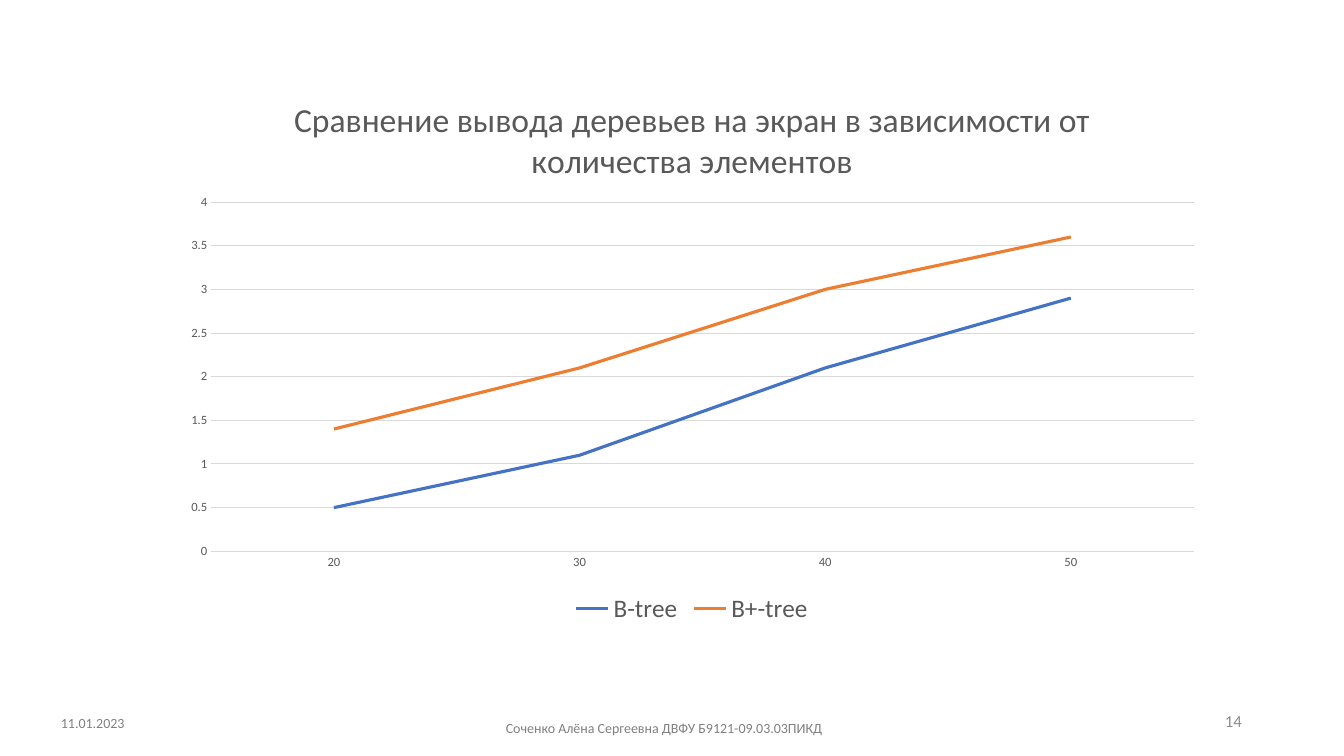
from lxml import etree
from pptx import Presentation
from pptx.chart.data import CategoryChartData
from pptx.dml.color import RGBColor
from pptx.enum.chart import XL_CHART_TYPE, XL_LEGEND_POSITION, XL_MARKER_STYLE, XL_TICK_MARK
from pptx.enum.text import MSO_ANCHOR, PP_ALIGN
from pptx.util import Pt

LINE = XL_CHART_TYPE.LINE
BOTTOM = XL_LEGEND_POSITION.BOTTOM
NO_MARK, NO_TICK = XL_MARKER_STYLE.NONE, XL_TICK_MARK.NONE
TOP, MIDDLE = MSO_ANCHOR.TOP, MSO_ANCHOR.MIDDLE
LEFT, CENTER, RIGHT = PP_ALIGN.LEFT, PP_ALIGN.CENTER, PP_ALIGN.RIGHT

# Content
TITLE = "Сравнение вывода деревьев на экран в зависимости от количества элементов"
COUNTS = ["20", "30", "40", "50"]
TREES = {
    "B-tree": [0.5, 1.1, 2.1, 2.9],
    "B+-tree": [1.4, 2.1, 3, 3.6],
}
AUTHOR = "Соченко Алёна Сергеевна ДВФУ Б9121-09.03.03ПИКД"
DATE = "11.01.2023"
PAGE = "14"


class Theme:
    font = "Calibri"
    text, grid = "595959", "D9D9D9"
    foot, page = "808080", "8C8C8C"
    lines = ["4472C4", "ED7D31"]
    title_size, key_size, page_size, foot_size, tick_size = 24, 18, 12, 10, 9
    grid_width, line_width = 0.75, 2.25


# Places in points: left, top, width, height
SIZE = (960, 540)
CHART_BOX = (121, 53.3, 746.6, 396)
AUTHOR_BOX = (354.2, 511.9, 251.3, 28)
DATE_BOX = (33.1, 511.2, 66.2, 4.3)
PAGE_BOX = (678.2, 500.4, 216, 28.8)
# Plot area as shares of the chart
PLOT = {"x": 0.04, "y": 0.23, "w": 0.94, "h": 0.63}


def set_font(font, size, color, bold=False):
    font.name, font.size, font.bold = Theme.font, Pt(size), bold
    font.color.rgb = RGBColor.from_string(color)


def set_line(line, color, width):
    line.color.rgb = RGBColor.from_string(color)
    line.width = Pt(width)


def add_text(slide, text, box, size=Theme.foot_size, color=Theme.foot,
             align=LEFT, anchor=TOP, space=0.9):
    frame = slide.shapes.add_textbox(*map(Pt, box)).text_frame
    frame.word_wrap = True
    frame.vertical_anchor = anchor
    para = frame.paragraphs[0]
    para.alignment, para.line_spacing = align, space
    run = para.add_run()
    run.text = text
    set_font(run.font, size, color)


def place_plot(chart):
    area = chart.element.chart.plotArea
    space = "{" + area.nsmap["c"] + "}"
    for old in area.findall(space + "layout"):
        area.remove(old)
    layout = etree.Element(space + "layout")
    manual = etree.SubElement(layout, space + "manualLayout")
    rules = {"layoutTarget": "inner", "xMode": "edge", "yMode": "edge", **PLOT}
    for name, value in rules.items():
        etree.SubElement(manual, space + name).set("val", str(value))
    area.insert(0, layout)


def add_graph(slide):
    data = CategoryChartData()
    data.categories = COUNTS
    for name, values in TREES.items():
        data.add_series(name, values)
    chart = slide.shapes.add_chart(LINE, *map(Pt, CHART_BOX), data).chart
    set_font(chart.font, Theme.foot_size, Theme.text)

    # Title and legend
    chart.has_title = True
    run = chart.chart_title.text_frame.paragraphs[0].add_run()
    run.text = TITLE
    set_font(run.font, Theme.title_size, Theme.text)
    chart.chart_title.include_in_layout = False
    chart.has_legend = True
    chart.legend.position = BOTTOM
    chart.legend.include_in_layout = False
    set_font(chart.legend.font, Theme.key_size, Theme.text)

    # Axes
    cats, vals = chart.category_axis, chart.value_axis
    for axis in (cats, vals):
        axis.major_tick_mark = axis.minor_tick_mark = NO_TICK
        set_font(axis.tick_labels.font, Theme.tick_size, Theme.text)
    set_line(cats.format.line, Theme.grid, Theme.grid_width)
    vals.format.line.fill.background()
    vals.minimum_scale, vals.maximum_scale, vals.major_unit = 0, 4, 0.5
    vals.has_major_gridlines = True
    set_line(vals.major_gridlines.format.line, Theme.grid, Theme.grid_width)

    # Series
    plot = chart.plots[0]
    plot.vary_by_categories = False
    for series, color in zip(plot.series, Theme.lines):
        series.smooth = False
        series.marker.style = NO_MARK
        set_line(series.format.line, color, Theme.line_width)
    place_plot(chart)


def main():
    deck = Presentation()
    deck.slide_width, deck.slide_height = map(Pt, SIZE)
    slide = deck.slides.add_slide(deck.slide_layouts[6])

    # Footer
    add_text(slide, AUTHOR, AUTHOR_BOX)
    add_text(slide, DATE, DATE_BOX, align=CENTER)
    add_text(slide, PAGE, PAGE_BOX, size=Theme.page_size, color=Theme.page,
             align=RIGHT, anchor=MIDDLE, space=1.0)

    # Chart
    add_graph(slide)
    deck.save("out.pptx")


if __name__ == "__main__":
    main()
